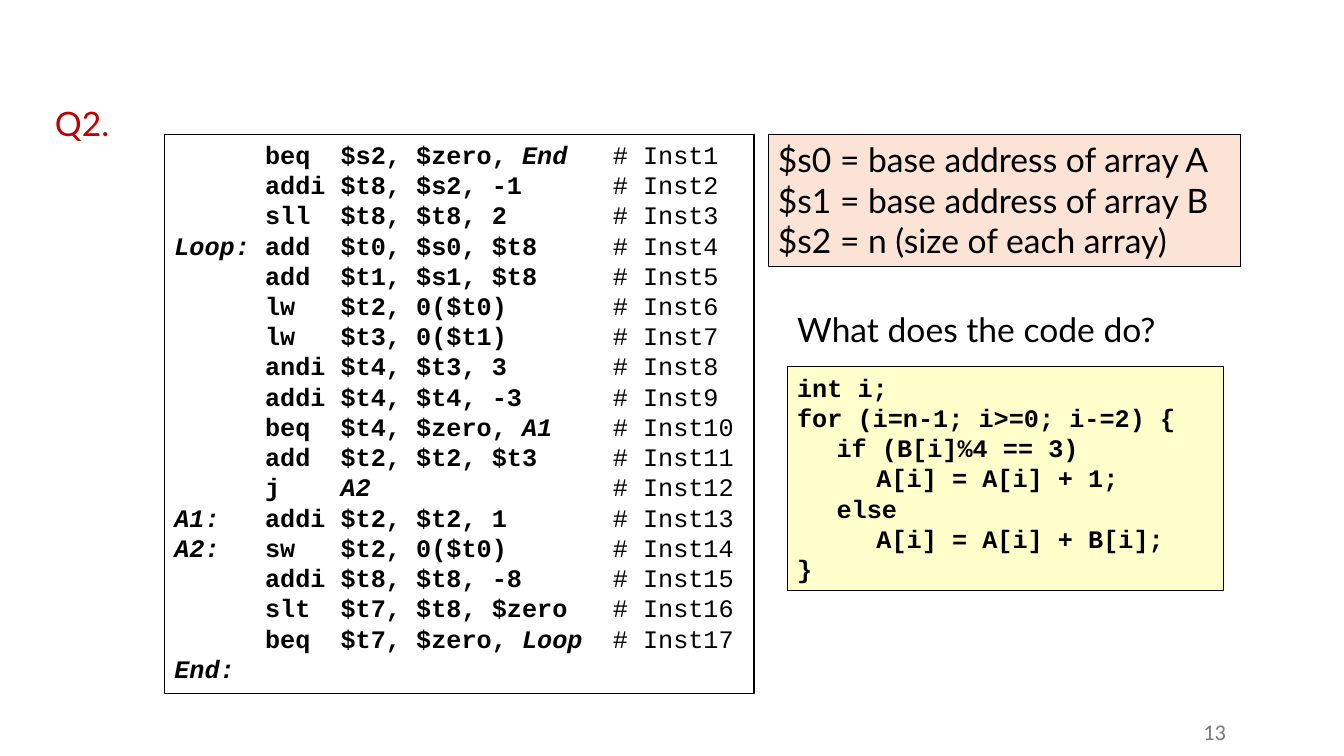
from pptx import Presentation
from pptx.dml.color import RGBColor as RGB
from pptx.enum.shapes import MSO_SHAPE as Shape
from pptx.enum.text import MSO_ANCHOR as Anchor, MSO_AUTO_SIZE as Auto, PP_ALIGN as Align
from pptx.oxml.ns import qn
from pptx.util import Pt
from lxml.etree import SubElement as Sub

BLACK = RGB(0x00, 0x00, 0x00)
RED = RGB(0xC0, 0x00, 0x00)
GRAY = RGB(0x79, 0x79, 0x79)
CREAM = RGB(0xFF, 0xFF, 0xCC)
PEACH = RGB(0xFB, 0xE3, 0xD6)

SANS, MONO = "Lato", "Courier New"
CHAR = 10.8  # width of one 18 pt code character
COLS = [6 * CHAR, 11 * CHAR, 29 * CHAR]  # operation, operands, comment
STEPS = [28.2, 56.7]  # two levels of code indent

# label, operation, operands, jump target
CODE = [
    ("", "beq", "$s2, $zero, ", "End"),
    ("", "addi", "$t8, $s2, -1", ""),
    ("", "sll", "$t8, $t8, 2", ""),
    ("Loop:", "add", "$t0, $s0, $t8", ""),
    ("", "add", "$t1, $s1, $t8", ""),
    ("", "lw", "$t2, 0($t0)", ""),
    ("", "lw", "$t3, 0($t1)", ""),
    ("", "andi", "$t4, $t3, 3", ""),
    ("", "addi", "$t4, $t4, -3", ""),
    ("", "beq", "$t4, $zero, ", "A1"),
    ("", "add", "$t2, $t2, $t3", ""),
    ("", "j", "", "A2"),
    ("A1:", "addi", "$t2, $t2, 1", ""),
    ("A2:", "sw", "$t2, 0($t0)", ""),
    ("", "addi", "$t8, $t8, -8", ""),
    ("", "slt", "$t7, $t8, $zero", ""),
    ("", "beq", "$t7, $zero, ", "Loop"),
]
REGS = [
    "$s0 = base address of array A",
    "$s1 = base address of array B",
    "$s2 = n (size of each array)",
]
LOOP = [
    "int i;",
    "for (i=n-1; i>=0; i-=2) {",
    "\tif (B[i]%4 == 3)",
    "\t\tA[i] = A[i] + 1;",
    "\telse",
    "\t\tA[i] = A[i] + B[i];",
    "}",
]


def write(par, text, font=SANS, size=24, color=BLACK, bold=False, ital=False):
    run = par.add_run()
    run.text = text
    face = run.font
    face.name, face.size, face.bold, face.italic = font, Pt(size), bold, ital
    face.color.rgb = color


def lines(frame, count, tabs=()):
    """Yield left-aligned paragraphs with the given tab stops."""
    for i in range(count):
        par = frame.add_paragraph() if i else frame.paragraphs[0]
        par.alignment = Align.LEFT
        if tabs:
            stops = Sub(par._p.get_or_add_pPr(), qn("a:tabLst"))
            for pos in tabs:
                Sub(stops, qn("a:tab"), pos=str(Pt(pos)), algn="l")
        yield par


def panel(slide, box, fill=None):
    shape = slide.shapes.add_shape(Shape.RECTANGLE, *map(Pt, box))
    shape.shadow.inherit = False
    shape.line.color.rgb, shape.line.width = BLACK, Pt(0.75)
    if fill is None:
        shape.fill.background()
    else:
        shape.fill.solid()
        shape.fill.fore_color.rgb = fill
    frame = shape.text_frame
    frame.word_wrap, frame.vertical_anchor = True, Anchor.TOP
    return frame


def label(slide, box, text, align=Align.LEFT, anchor=Anchor.TOP, **form):
    frame = slide.shapes.add_textbox(*map(Pt, box)).text_frame
    frame.word_wrap, frame.vertical_anchor = True, anchor
    par = frame.paragraphs[0]
    par.alignment = align
    write(par, text, **form)


def head(slide, box):
    title = slide.shapes.title
    title.left, title.top, title.width, title.height = map(Pt, box)
    frame = title.text_frame
    frame.auto_size, frame.vertical_anchor = Auto.NONE, Anchor.TOP
    par = frame.paragraphs[0]
    par.alignment, par.line_spacing = Align.CENTER, 1.0
    write(par, "Q2.", color=RED)


def listing(slide, box):
    form = {"font": MONO, "size": 18}
    pars = list(lines(panel(slide, box), len(CODE) + 1, COLS))
    for num, (par, row) in enumerate(zip(pars, CODE), 1):
        name, op, args, jump = row
        if name:
            write(par, name, bold=True, ital=True, **form)
        write(par, f"\t{op}\t{args}", bold=True, **form)
        if jump:
            write(par, jump, bold=True, ital=True, **form)
        write(par, f"\t# Inst{num}", **form)
    write(pars[-1], "End:", bold=True, ital=True, **form)


def notes(slide, box, rows, fill, tabs=(), **form):
    frame = panel(slide, box, fill)
    for par, text in zip(lines(frame, len(rows), tabs), rows):
        write(par, text, **form)


def main():
    deck = Presentation()
    deck.slide_width, deck.slide_height = Pt(960), Pt(540)
    slide = deck.slides.add_slide(deck.slide_layouts[5])

    # Question number and assembly listing
    head(slide, (23, 69.8, 71.3, 36))
    listing(slide, (117.4, 95.8, 421.2, 399.6))

    # Question and answer in C
    label(slide, (562.3, 217.4, 303.8, 36), "What does the code do?")
    notes(slide, (562.3, 262.1, 311.8, 159.8), LOOP, CREAM, STEPS,
          font=MONO, size=18, bold=True)

    # Meaning of the registers
    notes(slide, (548.6, 95.8, 337.7, 94.3), REGS, PEACH)

    # Slide number
    label(slide, (779.8, 508.3, 103, 28.8), "13", Align.RIGHT, Anchor.MIDDLE,
          font="Calibri", size=16, color=GRAY)

    deck.save("out.pptx")


if __name__ == "__main__":
    main()
